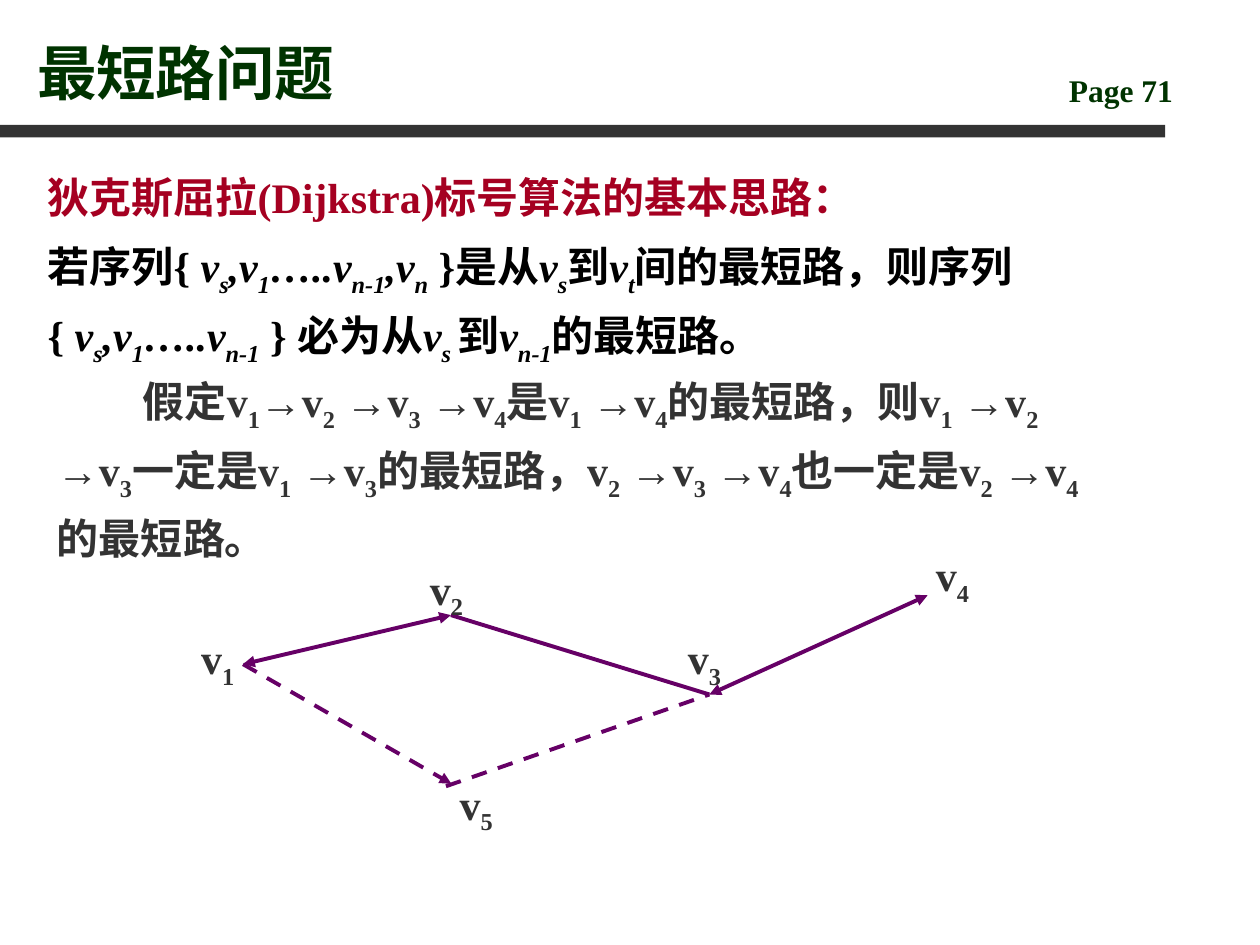
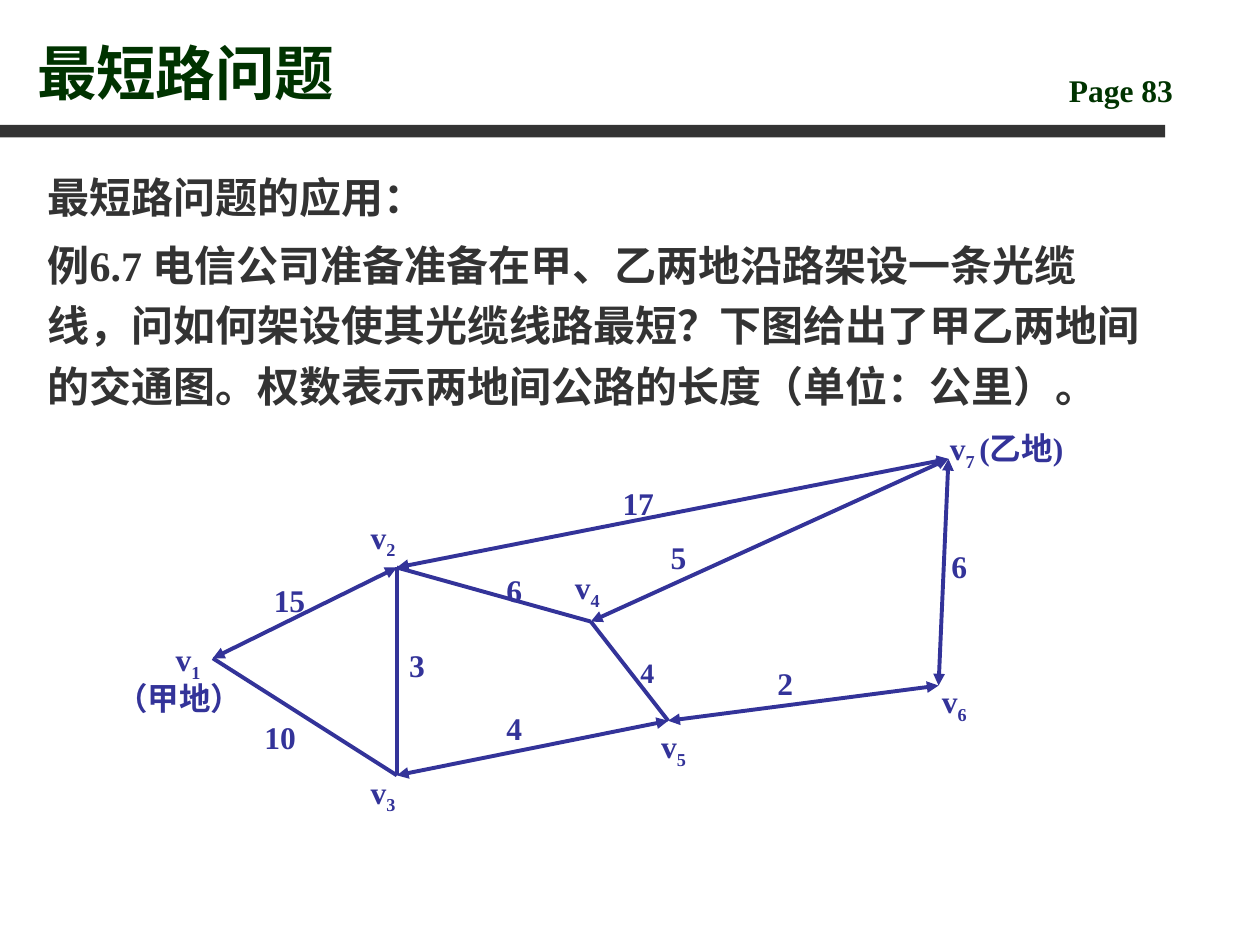
import pptx
import pptx.dml.color
import pptx.enum.dml
import pptx.enum.shapes
import pptx.enum.text
import pptx.oxml
import pptx.oxml.ns
import pptx.util
from pptx.util import Cm

COLORS = {
    "title": "003300",
    "band": "333333",
    "text": "333333",
    "heading": "A50021",
    "theorem": "000000",
    "route": "660066",
    "road": "333399",
}
FONT = "Times New Roman"
BLANK_LAYOUT = 6
TITLE = "最短路问题"


def rgb(name):
    return pptx.dml.color.RGBColor.from_string(COLORS[name])


class SlideBuilder:
    def __init__(self, presentation):
        self.presentation = presentation
        self.slide = None

    def start(self, page):
        layout = self.presentation.slide_layouts[BLANK_LAYOUT]
        self.slide = self.presentation.slides.add_slide(layout)
        self.band(0, 2.52, 23.49, 0.25)
        self.text(21.3, 1.3, 3.61, 1.02, [f"Page {page}"], size=18, color="title")
        self.text(0.5, 0.32, 20.4, 1.98, [TITLE], size=34, color="title",
                  anchor=pptx.enum.text.MSO_ANCHOR.BOTTOM)

    def band(self, left, top, width, height):
        shape = self.slide.shapes.add_shape(
            pptx.enum.shapes.MSO_SHAPE.RECTANGLE,
            Cm(left), Cm(top), Cm(width), Cm(height))
        shape.shadow.inherit = False
        shape.fill.solid()
        shape.fill.fore_color.rgb = rgb("band")
        shape.line.fill.background()

    def text(self, left, top, width, height, lines, size=24, color="text",
             colors=None, anchor=pptx.enum.text.MSO_ANCHOR.TOP,
             first_line=0, margins=(), space_before=0, **paragraph_format):
        box = self.slide.shapes.add_textbox(Cm(left), Cm(top), Cm(width), Cm(height))
        frame = box.text_frame
        frame.word_wrap = True
        frame.vertical_anchor = anchor
        for index, line in enumerate(lines):
            paragraph = frame.paragraphs[0] if index == 0 else frame.add_paragraph()
            properties = paragraph._p.get_or_add_pPr()
            properties.set("hangingPunct", "0")
            if first_line:
                properties.set("indent", str(Cm(first_line)))
            if index < len(margins):
                properties.set("marL", str(Cm(margins[index])))
            for name, value in paragraph_format.items():
                setattr(paragraph, name, value)
            paragraph.space_before = pptx.util.Pt(space_before if index else 0)
            self.runs(paragraph, line, size, colors[index] if colors else color)

    def runs(self, paragraph, line, size, color):
        italic = False
        for index, part in enumerate(line.split("_")):
            for position, piece in enumerate(part.split("*")):
                if position:
                    italic = not italic
                if not piece:
                    continue
                run = paragraph.add_run()
                run.text = piece
                font_format = {"name": FONT, "size": pptx.util.Pt(size),
                               "bold": True, "italic": italic}
                for name, value in font_format.items():
                    setattr(run.font, name, value)
                run.font.color.rgb = rgb(color)
                properties = run._r.get_or_add_rPr()
                properties.set("lang", "zh-CN")
                if index % 2:
                    properties.set("baseline", "-25000")

    def edge(self, start, end, color, ends="", dashed=False):
        points = [Cm(value) for value in (*start, *end)]
        connector = self.slide.shapes.add_connector(
            pptx.enum.shapes.MSO_CONNECTOR.STRAIGHT, *points)
        connector.line.width = pptx.util.Pt(2.25)
        connector.line.color.rgb = rgb(color)
        if dashed:
            connector.line.dash_style = pptx.enum.dml.MSO_LINE.DASH
        line = connector.line._get_or_add_ln()
        for end_name in ends.split():
            arrow = pptx.oxml.parse_xml(
                f'<a:{end_name} {pptx.oxml.ns.nsdecls("a")} type="triangle"/>')
            line.append(arrow)
        connector._element.spPr.append(
            pptx.oxml.parse_xml(f'<a:effectLst {pptx.oxml.ns.nsdecls("a")}/>'))


BOTH = "headEnd tailEnd"
CENTER = pptx.enum.text.PP_ALIGN.CENTER


def build_idea_slide(builder):
    builder.start(71)
    builder.text(0.71, 3.12, 22.81, 4.6, [
        "狄克斯屈拉(Dijkstra)标号算法的基本思路：",
        "若序列{ *v_s_,v_1_…..v_n-1_,v_n_* }是从*v_s_*到*v_t_*间的最短路，则序列"
        "{ *v_s_,v_1_…..v_n-1_* } 必为从*v_s _*到*v_n-1_*的最短路。",
    ], colors=["heading", "theorem"], line_spacing=1.2, space_before=4.5)
    builder.text(0.9, 7.22, 21.79, 4.42, [
        "假定v_1_→v_2_ →v_3_ →v_4_是v_1_ →v_4_的最短路，则v_1_ →v_2_ →v_3_"
        "一定是v_1_ →v_3_的最短路，v_2_ →v_3_ →v_4_也一定是v_2_ →v_4_的最短路。",
    ], first_line=1.73, line_spacing=1.2)

    v1, v2, v3, v4 = (4.9, 13.39), (9.09, 12.4), (14.3, 14), (18.7, 12)
    edges = [
        (v1, v2, BOTH, False),
        (v2, v3, "", False),
        (v3, v4, BOTH, False),
        (v1, (9.1, 15.8), "tailEnd", True),
        ((8.99, 15.85), v3, "", True),
    ]
    for start, end, ends, dashed in edges:
        builder.edge(start, end, "route", ends, dashed)

    label_places = [(3.69, 12.4), (8.3, 11), (13.5, 12.4), (18.5, 10.73), (8.9, 15.33)]
    for number, (left, top) in enumerate(label_places, 1):
        builder.text(left, top, 1.4, 1.65, [f"v_{number}_"],
                     line_spacing=1.2, alignment=CENTER)


def build_application_slide(builder):
    builder.start(83)
    builder.text(0.71, 3.12, 22.61, 13, [
        "最短路问题的应用：",
        "例6.7 电信公司准备准备在甲、乙两地沿路架设一条光缆线，问如何架设使其光缆线路最短？"
        "下图给出了甲乙两地间的交通图。权数表示两地间公路的长度（单位：公里）。",
    ], line_spacing=1.2, space_before=4.5)
    builder.text(1.91, 13.06, 3.4, 1.47, ["v_1_", "（甲地）"], size=18, color="road",
                 margins=[0.36], space_before=11.2, line_spacing=0.5, alignment=CENTER)

    towns = {
        1: (4.29, 13.27), 2: (8, 11.44), 3: (8, 15.63), 4: (11.91, 12.53),
        5: (13.47, 14.53), 6: (18.92, 13.82), 7: (19.12, 9.25),
    }
    roads = [
        (1, 2, BOTH, "15", 5.27, 11.58, 18),
        (1, 3, "", "10", 5.08, 14.35, 18),
        (2, 3, "", "3", 8, 12.9, 18),
        (3, 5, BOTH, "4", 9.96, 14.17, 18),
        (2, 4, "", "6", 9.96, 11.38, 18),
        (4, 5, "", "4", 12.66, 13.09, 16),
        (2, 7, BOTH, "17", 12.3, 9.63, 18),
        (4, 7, BOTH, "5", 13.27, 10.72, 18),
        (5, 6, BOTH, "2", 15.42, 13.26, 18),
        (7, 6, BOTH, "6", 18.93, 10.9, 18),
    ]
    for start, end, ends, length, left, top, size in roads:
        builder.edge(towns[start], towns[end], "road", ends)
        builder.text(left, top, 1.55, 1.02, [length], size=size, color="road")

    town_labels = [
        ("v_2_", 7.22, 10.31, 1.55),
        ("v_3_", 7.22, 15.45, 1.55),
        ("v_4_", 11.34, 11.33, 1.55),
        ("v_5_", 13.08, 14.54, 1.55),
        ("v_6_", 18.74, 13.62, 1.55),
        ("v_7 _(乙地)", 18.9, 8.53, 3.99),
    ]
    for label, left, top, width in town_labels:
        builder.text(left, top, width, 1.12, [label], size=18, color="road")


def main():
    presentation = pptx.Presentation()
    presentation.slide_width = Cm(25.4)
    presentation.slide_height = Cm(19.05)
    builder = SlideBuilder(presentation)
    build_idea_slide(builder)
    build_application_slide(builder)
    presentation.save("out.pptx")


if __name__ == "__main__":
    main()
